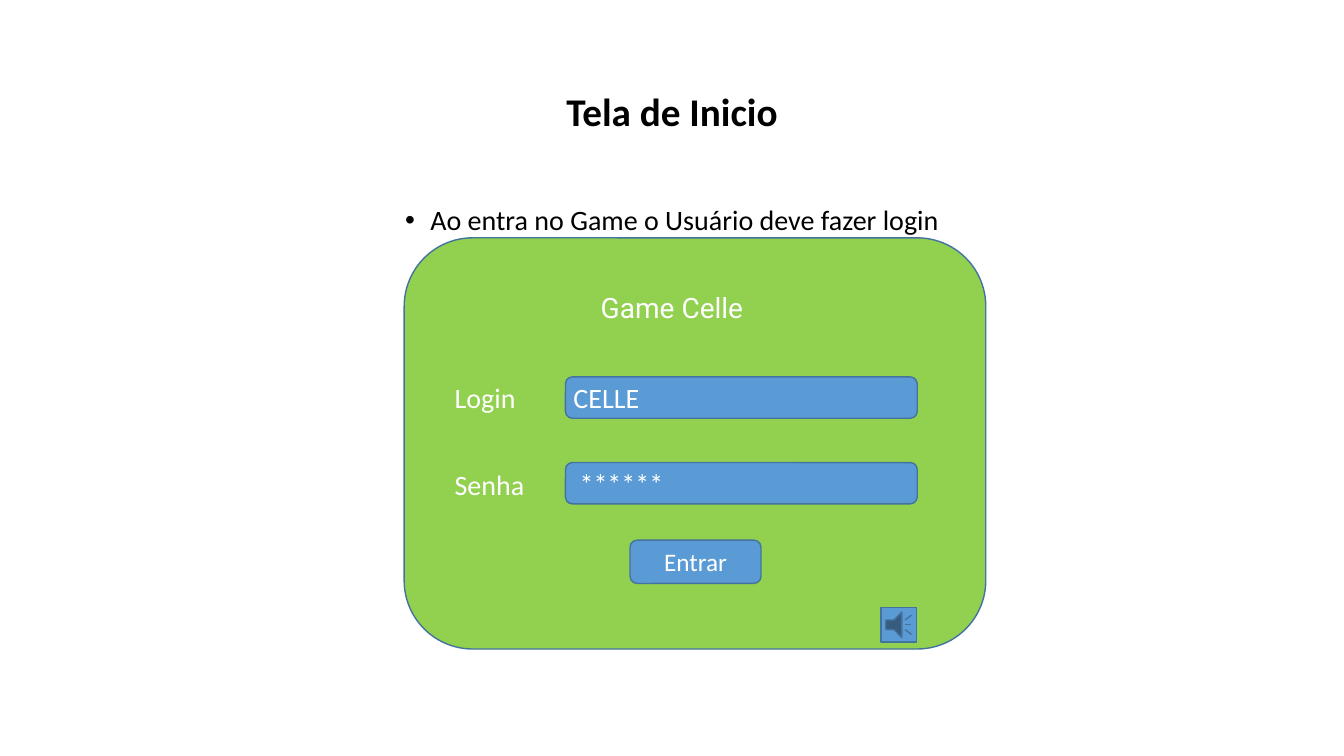
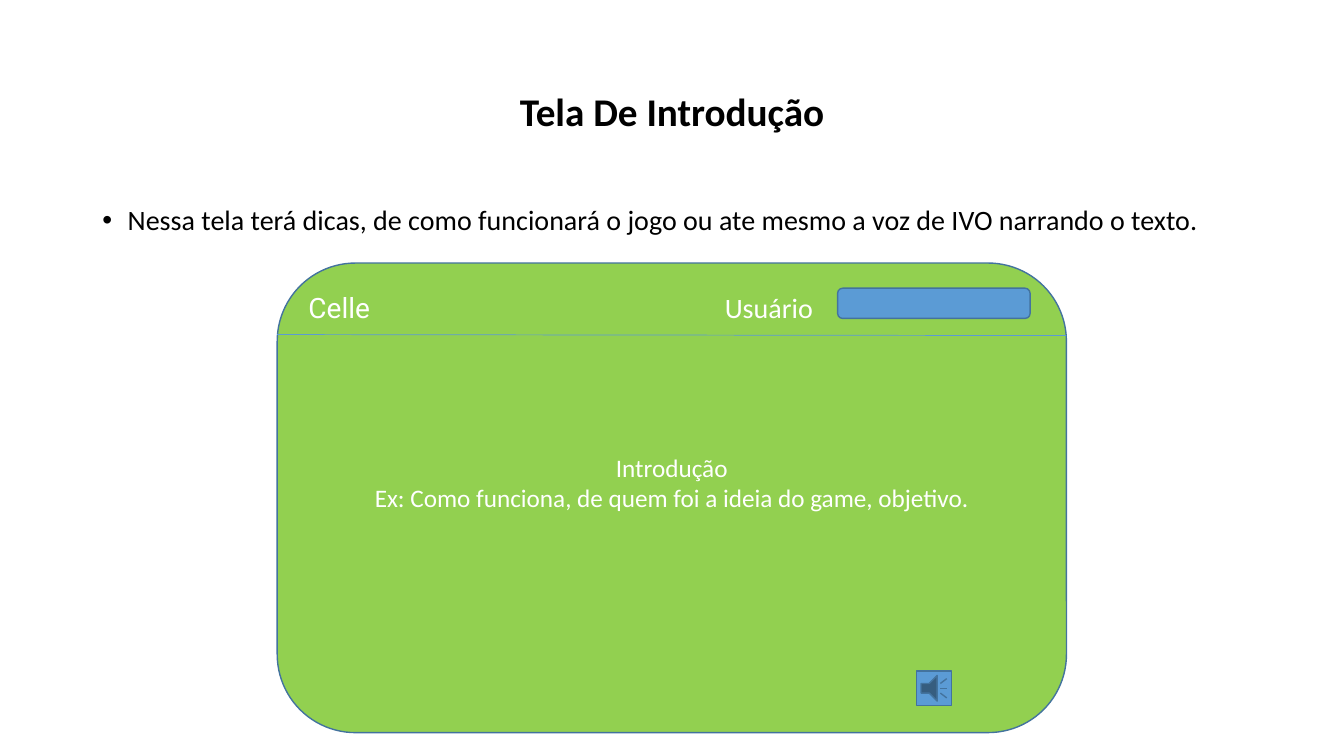
import pptx
import pptx.dml.color
import pptx.enum.shapes
import pptx.enum.text
import pptx.oxml.ns
import pptx.util
import lxml.etree

SHAPE = pptx.enum.shapes.MSO_SHAPE
ALIGN = pptx.enum.text.PP_ALIGN
WHITE, BLACK = "FFFFFF", "000000"
GREEN, BLUE, EDGE = "92D050", "5B9BD5", "43739E"

deck = pptx.Presentation()
deck.slide_width = pptx.util.Inches(13.33)
deck.slide_height = pptx.util.Inches(7.5)
CELL = deck.slide_width / 40  # the slide is 40 columns wide


def draw(page, kind, grid, fill, lines=()):
    """Add an outlined shape at (left, top, width, height) in cells, with white centred lines."""
    shape = page.shapes.add_shape(kind, *[round(n * CELL) for n in grid])
    shape.shadow.inherit = False
    shape.fill.solid()
    shape.fill.fore_color.rgb = pptx.dml.color.RGBColor.from_string(fill)
    shape.line.color.rgb = pptx.dml.color.RGBColor.from_string(EDGE)
    shape.line.width = pptx.util.Pt(1)
    if lines:
        shape.text_frame.text = "\n".join(lines)
        for para in shape.text_frame.paragraphs:
            para.alignment = ALIGN.CENTER
            style(para, 18, WHITE)
    return shape


def style(para, size, color, font="Calibri", bold=False):
    """Format every run of a paragraph."""
    for span in para.runs:
        span.font.size = pptx.util.Pt(size)
        span.font.name = font
        span.font.bold = bold
        span.font.color.rgb = pptx.dml.color.RGBColor.from_string(color)


# Title and body areas are shared through the layout
layout = deck.slide_layouts[1]
areas = [(2.75, 1.2, 34.5, 4.35), (2.75, 6, 34.5, 14.28)]
for holder, grid in zip(layout.placeholders, areas):
    holder.left, holder.top, holder.width, holder.height = [round(n * CELL) for n in grid]

# Heading, body alignment, body lines: a black bullet, then white Roboto text
screens = [
    ("Tela de Inicio", ALIGN.CENTER,
     ["Ao entra no Game o Usuário deve fazer login", "Game Celle"]),
    ("Tela De Introdução", ALIGN.LEFT,
     ["Nessa tela terá dicas, de como funcionará o jogo ou ate mesmo a voz de IVO "
      "narrando o texto."]),
]

pages = []
for heading, alignment, lines in screens:
    page = deck.slides.add_slide(layout)
    pages.append(page)
    page.shapes.title.text_frame.text = heading
    title = page.shapes.title.text_frame.paragraphs[0]
    title.alignment = ALIGN.CENTER
    title.line_spacing = 0.9
    style(title, 28, BLACK, bold=True)

    frame = page.placeholders[1].text_frame
    frame.text = "\n".join(lines)
    frame.auto_size = pptx.enum.text.MSO_AUTO_SIZE.NONE
    for index, para in enumerate(frame.paragraphs):
        para.alignment = alignment
        para.line_spacing = 0.9
        para.space_before = pptx.util.Pt(41 if index else 10)
        style(para, 20, WHITE if index else BLACK, "Roboto" if index else "Calibri")
        props = para._p.get_or_add_pPr()
        indent = 0 if index else pptx.util.Inches(0.25)
        props.set("marL", str(indent))
        props.set("indent", str(-indent))
        if index:
            lxml.etree.SubElement(props, pptx.oxml.ns.qn("a:buNone"))
        else:
            lxml.etree.SubElement(props, pptx.oxml.ns.qn("a:buChar"), char="•")

login, intro = pages

# Login screen
draw(login, SHAPE.ROUNDED_RECTANGLE, (12.03, 7.08, 17.31, 12.24), GREEN)
for row, value in enumerate(["CELLE", "******"]):
    field = draw(login, SHAPE.ROUNDED_RECTANGLE,
                 (16.83, 11.22 + 2.55 * row, 10.47, 1.23), BLUE, [value])
    field.text_frame.margin_left = pptx.util.Inches(0.06 + 0.06 * row)
    entry = field.text_frame.paragraphs[0]
    entry.alignment = ALIGN.LEFT
    style(entry, 20, WHITE)
draw(login, SHAPE.ROUNDED_RECTANGLE, (18.75, 16.08, 3.9, 1.29), BLUE, ["Entrar"])

# Introduction screen
panel = draw(intro, SHAPE.ROUNDED_RECTANGLE, (8.25, 7.83, 23.49, 13.98), GREEN,
             ["Introdução", "Ex: Como funciona, de quem foi a ideia do game, objetivo."])
panel.text_frame.margin_bottom = pptx.util.Inches(0.35)
divider = intro.shapes.add_connector(
    pptx.enum.shapes.MSO_CONNECTOR.STRAIGHT,
    *[round(n * CELL) for n in (8.25, 9.96, 31.74, 9.99)])
divider.line.color.rgb = pptx.dml.color.RGBColor.from_string(BLUE)
divider.line.width = pptx.util.Pt(0.5)
lxml.etree.SubElement(divider.element.spPr, pptx.oxml.ns.qn("a:effectLst"))
draw(intro, SHAPE.ROUNDED_RECTANGLE, (24.93, 8.58, 5.73, 0.9), BLUE)

# Labels on the panels
for page, text, left, top, font in [
        (login, "Login", 13.53, 11.22, "Calibri"),
        (login, "Senha", 13.53, 13.83, "Calibri"),
        (intro, "Celle", 9.18, 8.55, "Roboto"),
        (intro, "Usuário", 21.57, 8.55, "Calibri")]:
    label = page.shapes.add_textbox(*[round(n * CELL) for n in (left, top, 3, 1.2)])
    frame = label.text_frame
    frame.word_wrap = True
    frame.vertical_anchor = pptx.enum.text.MSO_ANCHOR.MIDDLE
    frame.margin_left = frame.margin_right = frame.margin_top = frame.margin_bottom = 0
    frame.text = text
    style(frame.paragraphs[0], 20, WHITE, font)

# Sound buttons, with the body text in front of the panels
for page, left, top in [(login, 26.22, 18.09), (intro, 27.27, 19.98)]:
    draw(page, SHAPE.ACTION_BUTTON_SOUND, (left, top, 1.05, 1.02), BLUE)
    body = page.placeholders[1].element
    body.getparent().append(body)

deck.save("out.pptx")
